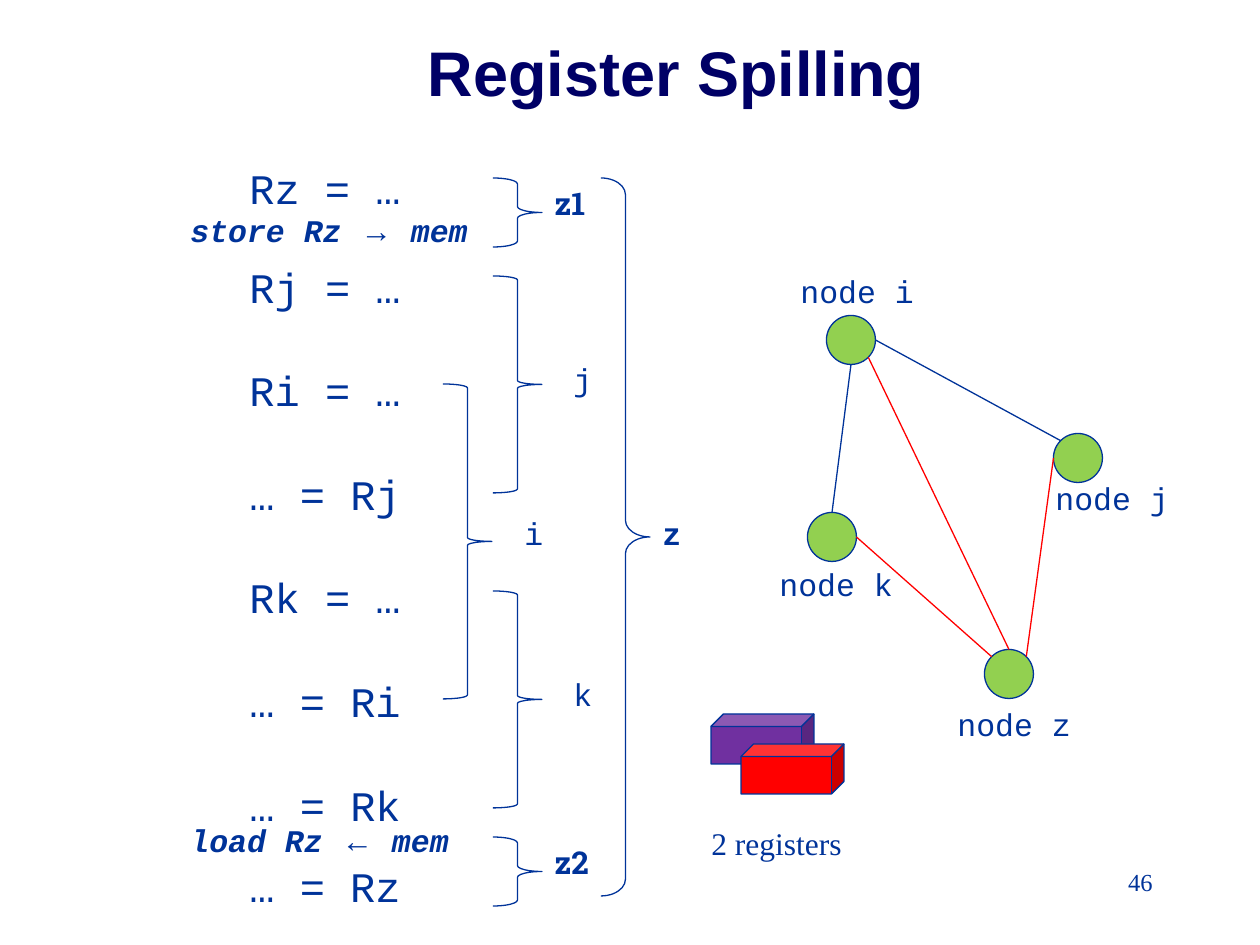
import math

import pptx
import pptx.dml.color
import pptx.enum.shapes
import pptx.enum.text
import pptx.oxml
import pptx.oxml.ns
import pptx.util

SHAPE = pptx.enum.shapes.MSO_SHAPE
ALIGN = pptx.enum.text.PP_ALIGN
ANCHOR = pptx.enum.text.MSO_ANCHOR
EMU_PER_PX = 914400 / 126

NAVY, BLUE, RED = "000066", "003399", "FF0000"
GREEN, PURPLE = "92D050", "7030A0"
MONO, SANS, SERIF, SLAB = "Courier New", "Arial", "Times New Roman", "Roboto Slab"


def px(length):
    return pptx.util.Emu(round(length * EMU_PER_PX))


def color(hex_value):
    return pptx.dml.color.RGBColor.from_string(hex_value)


class Deck:
    """Holds the style and the current slide."""

    line_width = pptx.util.Pt(0.75)
    text_color = BLUE

    def __init__(self, width, height):
        self.presentation = pptx.Presentation()
        self.presentation.slide_width = px(width)
        self.presentation.slide_height = px(height)
        self.slide = self.presentation.slides.add_slide(
            self.presentation.slide_layouts[6])

    def text(self, left, top, width, height, lines, size=18, font=MONO,
             ink=None, bold=False, italic=False, align=ALIGN.LEFT,
             anchor=ANCHOR.TOP, gap=0):
        """Each line is a list of (words, font) runs or a plain string."""
        box = self.slide.shapes.add_textbox(
            px(left), px(top), px(width), px(height))
        frame = box.text_frame
        frame.word_wrap = True
        frame.vertical_anchor = anchor
        for index, line in enumerate(lines):
            paragraph = frame.add_paragraph() if index else frame.paragraphs[0]
            paragraph.alignment = align
            if index:
                paragraph.space_before = pptx.util.Pt(gap)
            for words, face in [(line, font)] if isinstance(line, str) else line:
                run = paragraph.add_run()
                run.text = words
                run.font.name = face
                run.font.size = pptx.util.Pt(size)
                run.font.bold = bold
                run.font.italic = italic
                run.font.color.rgb = color(ink or self.text_color)

    def shape(self, kind, left, top, width, height, fill=None, adjust=None):
        shape = self.slide.shapes.add_shape(
            kind, px(left), px(top), px(width), px(height))
        shape.shadow.inherit = False
        if fill:
            shape.fill.solid()
            shape.fill.fore_color.rgb = color(fill)
        else:
            shape.fill.background()
        shape.line.color.rgb = color(BLUE)
        shape.line.width = self.line_width
        if adjust is not None:
            shape.adjustments[0] = adjust

    def line(self, start, end, ink):
        connector = self.slide.shapes.add_connector(
            pptx.enum.shapes.MSO_CONNECTOR.STRAIGHT,
            *(px(value) for value in (*start, *end)))
        connector.line.color.rgb = color(ink)
        connector.line.width = self.line_width
        properties = connector._element.spPr
        properties.append(pptx.oxml.parse_xml(
            "<a:effectLst %s/>" % pptx.oxml.ns.nsdecls("a")))


def main():
    deck = Deck(1260, 945)

    # Title and page number
    deck.text(136, 24, 1081, 95, ["Register Spilling"], size=36, font=SANS,
              ink=NAVY, bold=True, align=ALIGN.CENTER, anchor=ANCHOR.MIDDLE)
    deck.text(903, 861, 262, 63, ["46"], size=14, font=SERIF, align=ALIGN.RIGHT)

    # Code with the spill instructions
    deck.text(237, 156, 217, 63, ["Rz = …"], size=24)
    deck.text(237, 255, 256, 567,
              ["Rj = …", "Ri = …", "… = Rj", "Rk = …", "… = Ri", "… = Rk"],
              size=24, gap=30.4)
    deck.text(237, 854, 217, 63, ["… = Rz"], size=24)
    for top, action, arrow in ((205, "store Rz ", "→"), (815, "load Rz ", "←")):
        deck.text(178, top, 335, 50,
                  [[(action, MONO), (arrow, SANS), (" mem", MONO)]],
                  bold=True, italic=True)

    # Live ranges: left, top, height and curl of each brace
    for left, top, height, curl in (
            (493, 276, 217, 0.08), (493, 591, 217, 0.08), (443, 384, 315, 0.08),
            (601, 178, 718, 0.34), (493, 178, 69, 0.12), (493, 837, 69, 0.12)):
        deck.shape(SHAPE.RIGHT_BRACE, left, top, 49, height, adjust=curl)
    for name, left, top in (("j", 561, 354), ("i", 512, 508), ("k", 561, 669)):
        deck.text(left, top, 59, 50, [name])
    deck.text(650, 508, 59, 50, ["z"], bold=True)
    for name, top in (("z1", 178), ("z2", 837)):
        deck.text(542, top, 88, 50, [name], font=SLAB, bold=True)

    # Interference graph: node centres and label positions
    radius = 24.5
    centres = {"i": (851, 340), "j": (1078, 458), "k": (832, 537), "z": (1009, 674)}
    labels = {"i": (788, 266), "j": (1043, 473), "k": (767, 559), "z": (945, 699)}
    for name, (x, y) in centres.items():
        deck.shape(SHAPE.OVAL, x - radius, y - radius, 2 * radius, 2 * radius,
                   fill=GREEN)
        deck.text(*labels[name], 158, 50, ["node " + name])

    def rim(name, degrees):
        x, y = centres[name]
        angle = math.radians(degrees)
        return x + radius * math.cos(angle), y + radius * math.sin(angle)

    # Edges: node and clockwise angle from the right at both ends
    for start, start_angle, end, end_angle, ink in (
            ("i", 90, "k", 270, BLUE), ("i", 0, "j", 225, BLUE),
            ("i", 45, "z", 270, RED), ("j", 180, "z", 315, RED),
            ("k", 0, "z", 225, RED)):
        deck.line(rim(start, start_angle), rim(end, end_angle), ink)

    # Available registers
    for left, top, fill in ((711, 714, PURPLE), (741, 744, RED)):
        deck.shape(SHAPE.CUBE, left, top, 103, 50, fill=fill, adjust=0.25)
    deck.text(699, 818, 180, 50, ["2 registers"], font=SERIF)

    deck.presentation.save("out.pptx")


if __name__ == "__main__":
    main()
